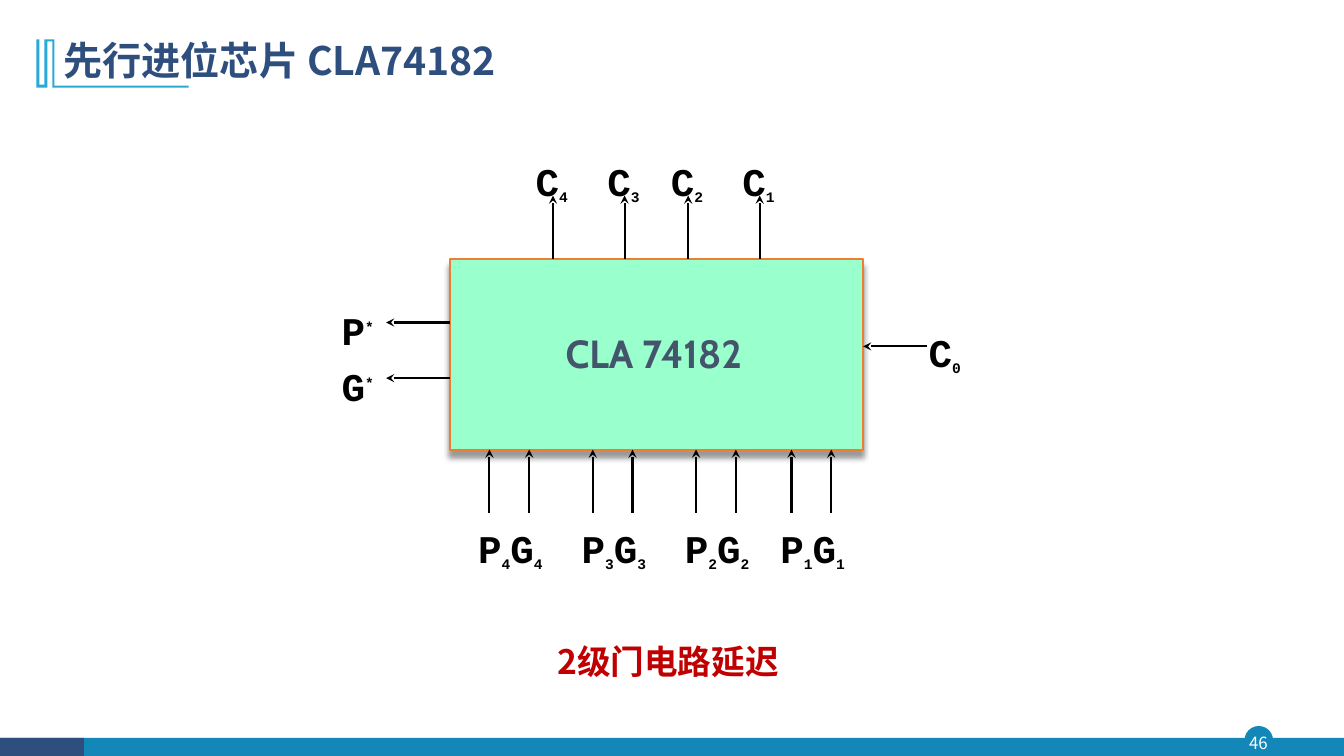
from dataclasses import dataclass

from pptx import Presentation
from pptx.dml.color import RGBColor
from pptx.enum.shapes import MSO_CONNECTOR, MSO_SHAPE
from pptx.enum.text import MSO_ANCHOR, PP_ALIGN
from pptx.oxml import parse_xml
from pptx.oxml.ns import nsdecls
from pptx.util import Inches, Pt


@dataclass(frozen=True)
class Theme:
    blue: str = "1387B7"
    navy: str = "2E4E7E"
    sky: str = "28A9D6"
    mint: str = "99FFCC"
    orange: str = "ED7D31"
    slate: str = "44546A"
    red: str = "C00000"
    black: str = "000000"
    white: str = "FFFFFF"
    sans: str = "Noto Sans CJK SC"
    mono: str = "Courier New"
    chip: str = "Cabin"
    big: int = 28
    note: int = 24
    index: int = 18
    small: int = 12


T = Theme()
W, H = 13.33, 7.5
COLS, ROWS = 52, 24  # grid of the chip body
LEAD = 8  # pin length in grid units
SUB, SUPER = -25, 50


def rgb(value):
    return RGBColor.from_string(value)


def add_xml(parent, body):
    tag, rest = body.split(" ", 1)
    parent.append(parse_xml(f"<a:{tag} {nsdecls('a')} {rest}"))


def style_run(r, size, color, font, bold=True):
    r.font.size, r.font.bold, r.font.name = Pt(size), bold, font
    r.font.color.rgb = rgb(color)
    add_xml(r._r.get_or_add_rPr(), f'ea typeface="{font}"/>')


def add_box(s, box, anchor=MSO_ANCHOR.TOP, margin=None):
    tf = s.shapes.add_textbox(*map(Inches, box)).text_frame
    tf.word_wrap, tf.vertical_anchor = True, anchor
    if margin is not None:
        tf.margin_left = tf.margin_right = Inches(margin)
        tf.margin_top = tf.margin_bottom = Inches(margin)
    return tf


def add_text(s, box, text, size, color, font, bold=True, align=PP_ALIGN.CENTER,
             anchor=MSO_ANCHOR.TOP, margin=None):
    p = add_box(s, box, anchor, margin).paragraphs[0]
    p.text, p.alignment = text, align
    style_run(p.runs[0], size, color, font, bold)
    return p


def add_fill(s, kind, box, fill, line=None, weight=1):
    sp = s.shapes.add_shape(kind, *map(Inches, box))
    sp.shadow.inherit = False
    sp.fill.solid()
    sp.fill.fore_color.rgb = rgb(fill)
    if line:
        sp.line.color.rgb, sp.line.width = rgb(line), Pt(weight)
    else:
        sp.line.fill.background()
    return sp


def add_arrow(s, tip, tail):
    c = s.shapes.add_connector(MSO_CONNECTOR.STRAIGHT, *map(Inches, tip + tail))
    c.line.color.rgb, c.line.width = rgb(T.black), Pt(1.5)
    add_xml(c.line._get_or_add_ln(), 'headEnd type="stealth"/>')
    add_xml(c._element.spPr, "effectLst />")


def add_signal(s, x, y, width, names, index, base=SUB):
    """Signal names, each followed by a raised or lowered index."""
    tf = add_box(s, (x, y, width, 0.57))
    tf.margin_top = Inches(0.11)
    p = tf.paragraphs[0]
    for name in names:
        for text, size, shift in ((name, T.big, 0), (index, T.index, base)):
            r = p.add_run()
            r.text = text
            style_run(r, size, T.black, T.mono)
            if shift:
                r._r.get_or_add_rPr().set("baseline", str(shift * 1000))


def footer(s, x, y, w, h, number):
    add_fill(s, MSO_SHAPE.OVAL, (x + w - 0.98, y - 0.11, 0.27, 0.27), T.blue, T.blue)
    add_fill(s, MSO_SHAPE.RECTANGLE, (x, y, w, h), T.blue)
    add_fill(s, MSO_SHAPE.RECTANGLE, (x, y, w / 16, h), T.navy)
    add_text(s, (x + w - 1.01, y - 0.11, 0.32, 0.31), number, T.small, T.white,
             T.sans, bold=False, anchor=MSO_ANCHOR.MIDDLE, margin=0)


def header(s, x, y, title):
    outline = [(0.18, 0), (0.18, 0.46), (1.51, 0.46), (1.51, 0.48), (0.16, 0.48),
               (0.16, 0.02), (0.11, 0.02), (0.11, 0.48), (0, 0.48), (0, 0),
               (0.03, 0), (0.03, 0.45), (0.08, 0.45), (0.08, 0)]
    points = [(Inches(x + dx), Inches(y + dy)) for dx, dy in outline]
    fb = s.shapes.build_freeform(*points[0])
    fb.add_line_segments(points[1:], close=True)
    sp = fb.convert_to_shape()
    sp.shadow.inherit = False
    sp.fill.solid()
    sp.fill.fore_color.rgb = rgb(T.sky)
    sp.line.fill.background()
    p = add_text(s, (x + 0.17, y - 0.11, 11.5, 0.68), title, T.big, T.navy, T.sans,
                 align=PP_ALIGN.LEFT, anchor=MSO_ANCHOR.MIDDLE)
    p.line_spacing = 0.9


def chip(s, x, y, w, h, name):
    """Chip body with its pins, placed on a grid of COLS by ROWS."""
    def at(col, row):
        return x + w * col / COLS, y + h * row / ROWS

    body = add_fill(s, MSO_SHAPE.RECTANGLE, (x, y, w, h), T.mint, T.orange, 1.5)
    effects = body._element.spPr.find("{*}effectLst")
    add_xml(effects, 'outerShdw blurRad="50800" dist="63500" dir="5400000" '
            'rotWithShape="0"><a:srgbClr val="000000"><a:alpha val="40000"/>'
            '</a:srgbClr></a:outerShdw>')
    add_text(s, (x - 0.06, y + 0.74, w + 0.07, 0.47), name, T.big, T.slate, T.chip,
             anchor=MSO_ANCHOR.BOTTOM)

    for col, index in zip((13, 22, 30, 39), "4321"):
        tip = at(col, -LEAD)
        add_arrow(s, tip, at(col, 0))
        add_signal(s, tip[0] - 0.27, tip[1] - 0.49, 0.55, "C", index)

    for col, index in zip((5, 18, 31, 43), "4321"):
        for pin in (col, col + 5):
            add_arrow(s, at(pin, ROWS), at(pin, ROWS + LEAD))
        tail = at(col, ROWS + LEAD)
        add_signal(s, tail[0] - 0.21, tail[1], 0.88, "PG", index)

    for row, signal in ((8, "P"), (15, "G")):
        tip = at(-LEAD, row)
        add_arrow(s, tip, at(0, row))
        add_signal(s, tip[0] - 0.54, tip[1] - 0.27, 0.79, signal, "*", SUPER)

    tail = at(COLS + LEAD, 11)
    add_arrow(s, at(COLS, 11), tail)
    add_signal(s, tail[0] - 0.08, tail[1] - 0.29, 0.79, "C", "0")


def main():
    prs = Presentation()
    prs.slide_width, prs.slide_height = Inches(W), Inches(H)
    s = prs.slides.add_slide(prs.slide_layouts[6])
    footer(s, 0, H - 0.18, W, 0.18, "46")
    header(s, 0.36, 0.39, "先行进位芯片 CLA74182")
    chip(s, 4.46, 2.57, 4.1, 1.89, "CLA 74182")
    add_text(s, (4.85, 6.31, 3.55, 0.54), "2级门电路延迟", T.note, T.red, T.sans)
    prs.save("out.pptx")


if __name__ == "__main__":
    main()
